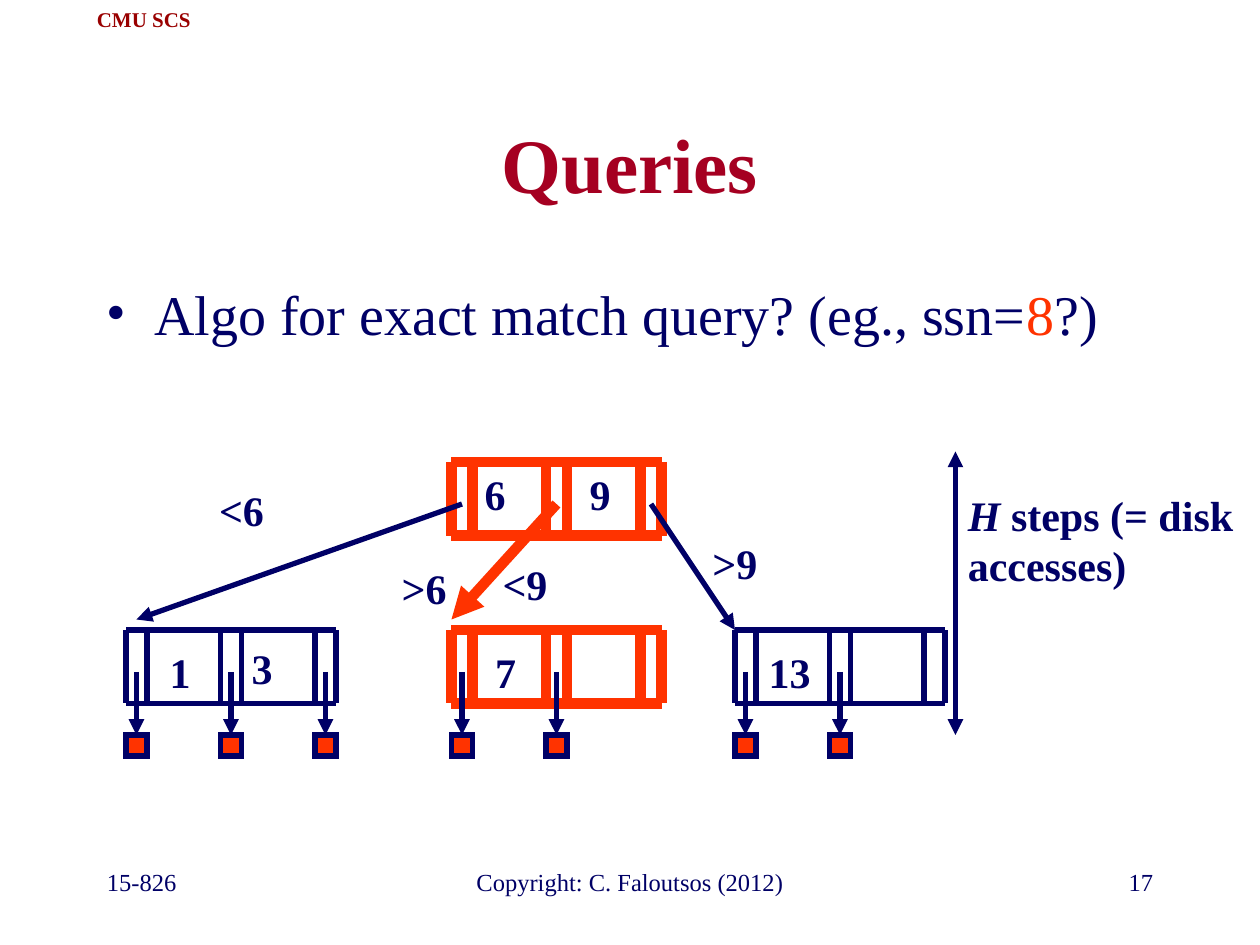
from lxml import etree
from pptx import Presentation
from pptx import util as u
from pptx.dml.color import RGBColor
from pptx.enum import shapes, text
from pptx.oxml.ns import qn

PX = 914400 // 120  # EMU per px
NAVY, ORANGE, CRIMSON, MAROON = "000066", "FF3300", "A50021", "990000"
FONT = "Times New Roman"
LEFT, CENTER, RIGHT = text.PP_ALIGN.LEFT, text.PP_ALIGN.CENTER, text.PP_ALIGN.RIGHT
MIDDLE = text.MSO_ANCHOR.MIDDLE

NODE_W, NODE_H = 200, 70
SLOT, PITCH = 20, 90  # pointer slot width, distance between slots


def px(n):
    return u.Emu(round(n * PX))


def rgb(value):
    return RGBColor.from_string(value)


def write(p, runs, size, align=LEFT, bold=False):
    """Fill a paragraph with (text, colour, italic) runs."""
    p.alignment = align
    for words, color, italic in runs:
        r = p.add_run()
        r.text = words
        r.font.name, r.font.size = FONT, u.Pt(size)
        r.font.bold, r.font.italic = bold, italic
        r.font.color.rgb = rgb(color)


def add_text(s, box, runs, size, align=LEFT, bold=False, wrap=True):
    if isinstance(runs, str):
        runs = [(runs, NAVY, False)]
    tf = s.shapes.add_textbox(*map(px, box)).text_frame
    tf.word_wrap = wrap
    if not wrap:
        tf.auto_size = text.MSO_AUTO_SIZE.SHAPE_TO_FIT_TEXT
    write(tf.paragraphs[0], runs, size, align, bold)
    return tf


def add_line(s, x1, y1, x2, y2, color=NAVY, width=3, head=False, tail=False):
    line = s.shapes.add_connector(shapes.MSO_CONNECTOR.STRAIGHT,
                                  px(x1), px(y1), px(x2), px(y2))
    line.line.color.rgb = rgb(color)
    line.line.width = u.Pt(width)
    ln = line._element.spPr.find(qn("a:ln"))
    for tag, wanted in (("a:headEnd", head), ("a:tailEnd", tail)):
        if wanted:
            etree.SubElement(ln, qn(tag), type="triangle")
    etree.SubElement(line._element.spPr, qn("a:effectLst"))
    return line


def add_node(s, x, y, color, width):
    """Draw a B-tree node: three pointer slots around two key cells."""
    for i in range(3):
        for edge in (0, SLOT):
            at = x + i * PITCH + edge
            add_line(s, at, y, at, y + NODE_H, color, width)
    for at in (y, y + NODE_H):
        add_line(s, x, at, x + NODE_W, at, color, width)


def add_records(s, x, y, count):
    """Draw the data records that a leaf's pointers lead to."""
    for i in range(count):
        left, top = x + i * PITCH, y + 100
        sp = s.shapes.add_shape(shapes.MSO_SHAPE.RECTANGLE,
                                px(left), px(top), px(SLOT), px(SLOT))
        sp.shadow.inherit = False
        sp.fill.solid()
        sp.fill.fore_color.rgb = rgb(ORANGE)
        sp.line.color.rgb = rgb(NAVY)
        sp.line.width = u.Pt(3)
        etree.SubElement(sp._element.spPr.find(qn("a:ln")), qn("a:miter"), lim="800000")
        mid = left + SLOT / 2
        add_line(s, mid, y + 40, mid, top, tail=True).end_connect(sp, 0)


def add_tree(s, x, y):
    root_x, leaf_y = x + 310, y + 160
    add_node(s, root_x, y, ORANGE, 6)
    for dx, count, color, width in ((580, 2, NAVY, 3), (310, 2, ORANGE, 6),
                                    (0, 3, NAVY, 3)):
        add_node(s, x + dx, leaf_y, color, width)
        add_records(s, x + dx, leaf_y, count)

    ends = ((x + 10, leaf_y - 10, NAVY, 3), (root_x, leaf_y - 10, ORANGE, 6),
            (x + 580, leaf_y, NAVY, 3))
    for i, (end_x, end_y, color, width) in enumerate(ends):
        add_line(s, root_x + 10 + i * PITCH, y + 40, end_x, end_y,
                 color, width, tail=True)

    labels = (("1", 29, 170, 45), ("3", 107, 166, 45), ("6", 329, 0, 45),
              ("7", 339, 170, 45), ("9", 429, 0, 45), ("13", 599, 170, 66),
              ("<6", 75, 16, 70), (">6", 249, 90, 70), ("<9", 345, 86, 70),
              (">9", 545, 66, 70))
    for words, dx, dy, w in labels:
        add_text(s, (x + dx, y + dy, w, 60), words, 24, CENTER, True, wrap=False)


def add_height_note(s, x, y):
    add_line(s, x, y + 270, x, y, head=True, tail=True)
    add_text(s, (x, y + 30, 290, 108),
             [("H", NAVY, True), (" steps (= disk accesses)", NAVY, False)],
             24, bold=True)


def add_title(s, box, words):
    title = s.shapes.title
    title.left, title.top, title.width, title.height = map(px, box)
    title.text_frame.vertical_anchor = MIDDLE
    write(title.text_frame.paragraphs[0], [(words, CRIMSON, False)], 44, CENTER, True)


def add_bullet(s, box, runs):
    tf = add_text(s, box, runs, 32)
    pPr = tf.paragraphs[0]._p.get_or_add_pPr()
    pPr.set("marL", str(px(45)))
    pPr.set("indent", str(px(-45)))
    clr = etree.SubElement(pPr, qn("a:buClr"))
    etree.SubElement(clr, qn("a:srgbClr"), val=NAVY)
    etree.SubElement(pPr, qn("a:buFont"), typeface=FONT)
    etree.SubElement(pPr, qn("a:buChar"), char="•")


def add_footer(s, y):
    for words, x, w, align in (("15-826", 90, 250, LEFT),
                               ("Copyright: C. Faloutsos (2012)", 410, 380, CENTER),
                               ("17", 860, 250, RIGHT)):
        add_text(s, (x, y, w, 60), words, 14, align)


def main():
    prs = Presentation()
    prs.slide_width, prs.slide_height = px(1200), px(900)
    s = prs.slides.add_slide(prs.slide_layouts[5])
    header = add_text(s, (78, 0, 118, 36), [("CMU SCS", MAROON, False)],
                      12, CENTER, True, wrap=False)
    header.vertical_anchor = MIDDLE
    add_title(s, (90, 80, 1020, 150), "Queries")
    add_bullet(s, (90, 260, 1020, 540),
               [("Algo for exact match query? (eg., ssn=", NAVY, False),
                ("8", ORANGE, False), ("?)", NAVY, False)])
    add_tree(s, 120, 440)
    add_height_note(s, 910, 430)
    add_footer(s, 820)
    prs.save("out.pptx")


if __name__ == "__main__":
    main()
